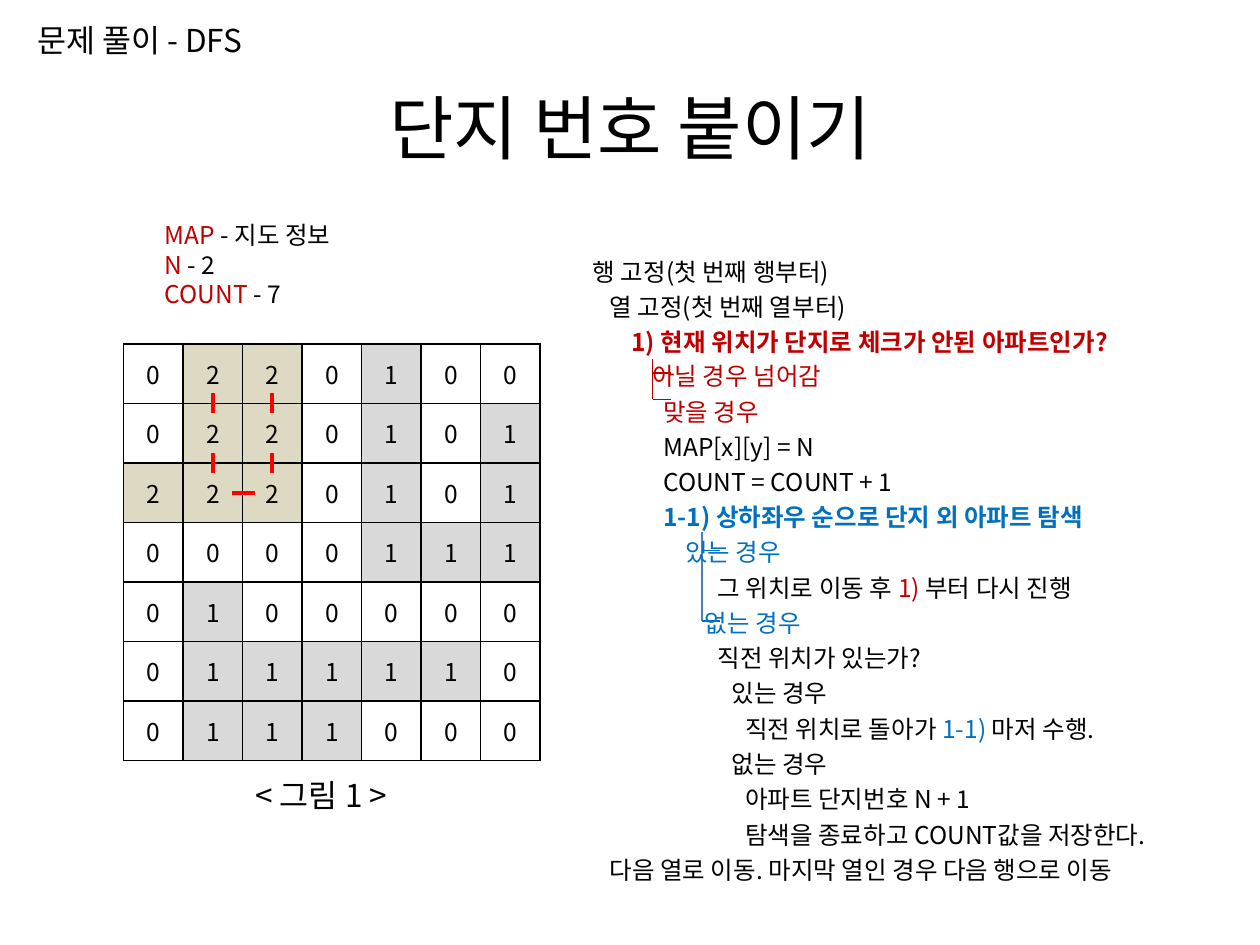
from lxml.etree import SubElement
from pptx import Presentation
from pptx.dml.color import RGBColor
from pptx.enum.shapes import MSO_CONNECTOR
from pptx.enum.text import MSO_ANCHOR, MSO_AUTO_SIZE, PP_ALIGN
from pptx.oxml.ns import qn
from pptx.util import Cm, Pt

FONT = "Noto Sans CJK KR"
HUE = {
    "black": "000000", "white": "FFFFFF", "red": "C00000", "blue": "0070C0",
    "steel": "4B7EBC", "link": "FF0000", "sand": "DDD9C3", "grey": "D9D9D9",
}
MAP = ["0220100", "0220101", "2220101", "0000111", "0100000", "0111110", "0111000"]
FILL = {"0": "white", "1": "grey", "2": "sand"}
LEFT, TOP, CELL = 2.49, 6.93, 1.2

FACTS = [
    (0, [("MAP", "red"), (" - 지도 정보", "black")]),
    (0, [("N", "red"), (" - 2", "black")]),
    (0, [("COUNT", "red"), (" - 7", "black")]),
]
OUTER = [
    (0, [("열 고정(첫 번째 열부터)", "black")]),
    (0.44, [("1) 현재 위치가 단지로 체크가 안된 아파트인가?", "red", True)]),
]
CHECK = [
    (0.89, [("아닐 경우 넘어감", "red")]),
    (1.11, [("맞을 경우", "red")]),
    (1.11, [("MAP[x][y] = N", "black")]),
    (1.11, [("COUNT = COUNT + 1", "black")]),
    (1.11, [("1-1) 상하좌우 순으로 단지 외 아파트 탐색", "blue", True)]),
]
SEARCH = [
    (1.55, [("있는 경우", "blue")]),
    (2.21, [("그 위치로 이동 후 ", "black"), ("1) ", "red"), ("부터 다시 진행", "black")]),
    (1.95, [("없는 경우", "blue")]),
    (2.21, [("직전 위치가 있는가?", "black")]),
    (2.49, [("있는 경우", "black")]),
    (2.76, [("직전 위치로 돌아가 ", "black"), ("1-1) ", "blue"), ("마저 수행.", "black")]),
    (2.49, [("없는 경우", "black")]),
    (2.76, [("아파트 단지번호 N + 1", "black")]),
    (2.76, [("탐색을 종료하고 COUNT값을 저장한다.", "black")]),
]
NEXT = "다음 열로 이동. 마지막 열인 경우 다음 행으로 이동"


def color(name):
    return RGBColor.from_string(HUE[name])


def style(run, size, hue="black", bold=False):
    font = run.font
    font.name, font.size, font.bold = FONT, Pt(size), bold
    font.color.rgb = color(hue)
    SubElement(run.font._element, qn("a:ea")).set("typeface", FONT)


def add_box(slide, x, y, w, h):
    box = slide.shapes.add_textbox(Cm(x), Cm(y), Cm(w), Cm(h))
    frame = box.text_frame
    frame.word_wrap = True
    return frame


def add_label(slide, text, x, y, w, h, size, align=PP_ALIGN.LEFT):
    frame = add_box(slide, x, y, w, h)
    frame.text = text
    frame.vertical_anchor = MSO_ANCHOR.MIDDLE
    para = frame.paragraphs[0]
    para.alignment = align
    style(para.runs[0], size)


def add_steps(slide, steps, x, y, w, h, space=1.2):
    frame = add_box(slide, x, y, w, h)
    frame.auto_size = MSO_AUTO_SIZE.SHAPE_TO_FIT_TEXT
    for i, (indent, parts) in enumerate(steps):
        para = frame.add_paragraph() if i else frame.paragraphs[0]
        para.line_spacing = space
        if indent:
            para._p.get_or_add_pPr().set("marL", str(Cm(indent)))
        for text, *look in parts:
            run = para.add_run()
            run.text = text
            style(run, 14, *look)


def add_line(slide, x1, y1, x2, y2, hue, width):
    line = slide.shapes.add_connector(
        MSO_CONNECTOR.STRAIGHT, Cm(x1), Cm(y1), Cm(x2), Cm(y2))
    line.line.color.rgb = color(hue)
    line.line.width = Pt(width)
    SubElement(line._element.spPr, qn("a:effectLst"))


def add_edges(cell):
    props = cell._tc.get_or_add_tcPr()
    for i, side in enumerate(("lnL", "lnR", "lnT", "lnB")):
        edge = props.makeelement(qn("a:" + side), {"w": str(Pt(1))})
        fill = SubElement(edge, qn("a:solidFill"))
        SubElement(fill, qn("a:srgbClr")).set("val", HUE["black"])
        props.insert(i, edge)


def add_map(slide):
    count = len(MAP)
    side = Cm(CELL * count)
    table = slide.shapes.add_table(
        count, count, Cm(LEFT), Cm(TOP), side, side).table
    table.first_row = table.horz_banding = False
    for i, row in enumerate(MAP):
        table.rows[i].height = table.columns[i].width = Cm(CELL)
        for j, value in enumerate(row):
            cell = table.cell(i, j)
            cell.text = value
            cell.vertical_anchor = MSO_ANCHOR.MIDDLE
            cell.margin_left = cell.margin_right = Cm(0.2)
            cell.margin_top = cell.margin_bottom = Cm(0.1)
            cell.fill.solid()
            cell.fill.fore_color.rgb = color(FILL[value])
            para = cell.text_frame.paragraphs[0]
            para.alignment = PP_ALIGN.CENTER
            style(para.runs[0], 14)
            add_edges(cell)


def add_links(slide):
    for col in (1, 2):
        x = LEFT + (col + 0.5) * CELL
        for row in (1, 2):
            y = TOP + row * CELL
            add_line(slide, x, y - 0.2, x, y + 0.2, "link", 2.25)
    x, y = LEFT + 2 * CELL, TOP + 2.5 * CELL
    add_line(slide, x - 0.22, y, x + 0.26, y, "link", 2.25)


def add_fork(slide, x, top, ends, trunk, hue):
    add_line(slide, x, top, x, ends[-1], trunk, 0.75)
    for y in ends:
        add_line(slide, x, y, x + 0.36, y, hue, 0.75)


def main():
    deck = Presentation()
    deck.slide_width, deck.slide_height = Cm(25.4), Cm(19.05)
    slide = deck.slides.add_slide(deck.slide_layouts[6])
    add_label(slide, "단지 번호 붙이기", 1.27, 0.97, 22.86, 3.17, 40, PP_ALIGN.CENTER)
    add_label(slide, "문제 풀이 - DFS", 0.5, 0.3, 7.2, 1.02, 18)
    add_map(slide)
    add_label(slide, "< 그림 1 >", 4.9, 15.52, 3.81, 1.02, 18)
    add_steps(slide, FACTS, 3.07, 4.32, 7.92, 2.06, 1)
    add_links(slide)
    add_steps(slide, OUTER, 12.04, 5.64, 14, 1.6)
    add_steps(slide, [(0, [(NEXT, "black")])], 12.04, 17, 14, 0.9)
    add_steps(slide, [(0, [("행 고정(첫 번째 행부터)", "black")])], 11.7, 4.93, 14, 0.9)
    add_fork(slide, 13.16, 7.24, (7.52, 8.05), "red", "red")
    add_fork(slide, 14.15, 10.72, (11.1, 12.52), "steel", "blue")
    add_steps(slide, SEARCH, 12.01, 10.59, 14, 6.73)
    add_steps(slide, CHECK, 12.01, 7.04, 14, 3.84)
    deck.save("out.pptx")


main()
